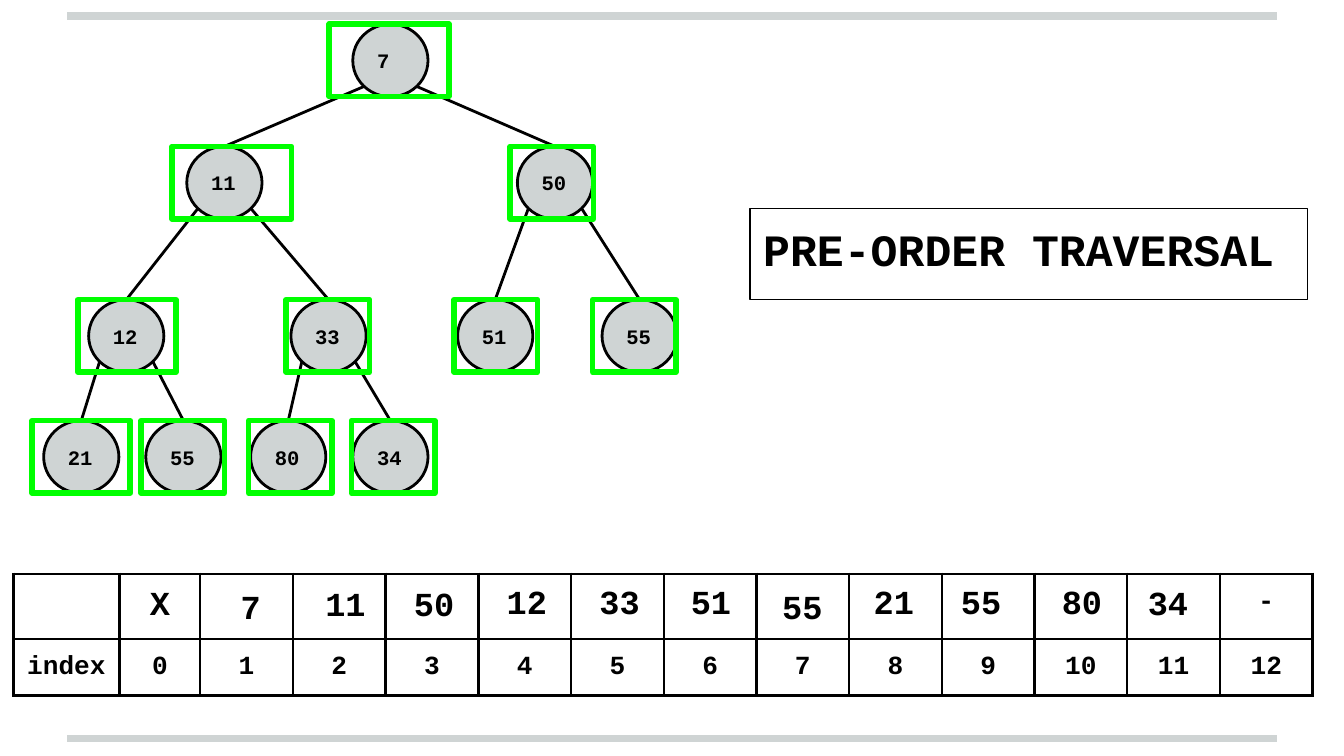
"""Draw a pre-order traversal slide: a binary tree above its array form."""
from dataclasses import dataclass
from typing import Optional

import pptx
import pptx.dml.color
import pptx.enum.shapes
import pptx.enum.text
import pptx.oxml
import pptx.oxml.ns
import pptx.util
from lxml import etree

EMU_PER_PX = 4572
NODE_W, NODE_H = 112, 108
INSET = 20
SHAPES = pptx.enum.shapes.MSO_SHAPE
ANCHORS = pptx.enum.text.MSO_ANCHOR
ALIGNS = pptx.enum.text.PP_ALIGN


@dataclass(frozen=True)
class Theme:
    font: str = "Courier New"
    ink: str = "000000"
    grey: str = "CFD4D4"
    mark: str = "00FF00"
    node_pt: int = 11
    index_pt: int = 14
    value_pt: int = 18
    title_pt: int = 24
    hairline_pt: float = 0.75
    line_pt: float = 1.5
    mark_pt: float = 3
    rule_pt: float = 4


@dataclass(frozen=True)
class Node:
    label: str
    x: int
    y: int
    mark_x: int
    mark_w: int
    value_x: int
    value_y: int
    parent: Optional[int] = None


THEME = Theme()
NODES = [
    Node("7", 525, 36, 490, 178, 330, 852),
    Node("11", 278, 218, 256, 178, 456, 848, 0),
    Node("50", 770, 218, 759, 124, 588, 848, 0),
    Node("12", 132, 446, 116, 146, 726, 844, 1),
    Node("33", 433, 446, 426, 124, 864, 844, 1),
    Node("51", 681, 446, 676, 124, 1000, 844, 2),
    Node("55", 896, 446, 882, 124, 1136, 852, 2),
    Node("21", 65, 626, 48, 146, 1272, 844, 3),
    Node("55", 217, 626, 210, 124, 1402, 844, 3),
    Node("80", 373, 626, 370, 124, 1552, 844, 4),
    Node("34", 525, 626, 523, 124, 1680, 846, 4),
]
COLUMNS = [158, 120] + [138] * 12
ROWS = [86, 84]


def px(n: int) -> pptx.util.Emu:
    return pptx.util.Emu(n * EMU_PER_PX)


def rgb(color: str) -> pptx.dml.color.RGBColor:
    return pptx.dml.color.RGBColor.from_string(color)


def set_text(tf, text: str, size: int, align=ALIGNS.LEFT) -> None:
    p = tf.paragraphs[0]
    p.text = text
    p.alignment = align
    p.font.name = THEME.font
    p.font.size = pptx.util.Pt(size)
    p.font.bold = True
    p.font.color.rgb = rgb(THEME.ink)


def set_frame(tf, anchor=ANCHORS.TOP) -> None:
    tf.word_wrap = True
    tf.vertical_anchor = anchor
    tf.margin_left = tf.margin_right = tf.margin_top = tf.margin_bottom = px(INSET)


def add_shape(s, kind, box: tuple, line: str, width: float, fill: Optional[str] = None):
    sp = s.shapes.add_shape(kind, *map(px, box))
    sp.shadow.inherit = False
    if fill:
        sp.fill.solid()
        sp.fill.fore_color.rgb = rgb(fill)
    else:
        sp.fill.background()
    sp.line.color.rgb = rgb(line)
    sp.line.width = pptx.util.Pt(width)
    etree.SubElement(sp.line._get_or_add_ln(), pptx.oxml.ns.qn("a:round"))
    return sp


def add_line(s, ends: tuple, color: str, width: float) -> None:
    line = s.shapes.add_connector(pptx.enum.shapes.MSO_CONNECTOR.STRAIGHT, *map(px, ends))
    line.line.color.rgb = rgb(color)
    line.line.width = pptx.util.Pt(width)
    etree.SubElement(line._element.spPr, pptx.oxml.ns.qn("a:effectLst"))


def add_node(s, node: Node) -> None:
    box = (node.x, node.y, NODE_W, NODE_H)
    sp = add_shape(s, SHAPES.OVAL, box, THEME.ink, THEME.line_pt, THEME.grey)
    set_frame(sp.text_frame, ANCHORS.MIDDLE)
    set_text(sp.text_frame, node.label, THEME.node_pt)


def add_edge(s, parent: Node, child: Node) -> None:
    start_x = parent.x + (16 if child.x < parent.x else NODE_W - 16)
    ends = (start_x, parent.y + NODE_H - 15, child.x + NODE_W // 2, child.y)
    add_line(s, ends, THEME.ink, THEME.line_pt)


def add_value(s, node: Node) -> None:
    width = 86 if len(node.label) == 1 else 116
    sp = s.shapes.add_textbox(*map(px, (node.value_x, node.value_y, width, 88)))
    set_frame(sp.text_frame)
    set_text(sp.text_frame, node.label, THEME.value_pt, ALIGNS.CENTER)


def set_cell(cell, text: str, size: int) -> None:
    set_text(cell.text_frame, text, size, ALIGNS.CENTER)
    cell.margin_left = cell.margin_right = cell.margin_top = cell.margin_bottom = px(INSET)
    tc_pr = cell._tc.get_or_add_tcPr()
    for side in ("lnL", "lnR", "lnT", "lnB"):
        ln = etree.SubElement(tc_pr, pptx.oxml.ns.qn(f"a:{side}"))
        ln.set("w", str(pptx.util.Pt(THEME.line_pt)))
        fill = etree.SubElement(ln, pptx.oxml.ns.qn("a:solidFill"))
        etree.SubElement(fill, pptx.oxml.ns.qn("a:srgbClr")).set("val", THEME.ink)
    cell.fill.background()


def add_array(s) -> None:
    box = (20, 854, sum(COLUMNS), sum(ROWS))
    table = s.shapes.add_table(len(ROWS), len(COLUMNS), *map(px, box)).table
    table.first_row = table.horz_banding = False
    for column, width in zip(table.columns, COLUMNS):
        column.width = px(width)
    for row, height in zip(table.rows, ROWS):
        row.height = px(height)
    values = ["", "X"] + [""] * len(NODES) + ["-"]
    indexes = ["index"] + [str(i) for i in range(len(COLUMNS) - 1)]
    for c, (value, index) in enumerate(zip(values, indexes)):
        set_cell(table.cell(0, c), value, THEME.index_pt if value == "-" else THEME.value_pt)
        set_cell(table.cell(1, c), index, THEME.index_pt)


def main() -> None:
    prs = pptx.Presentation()
    prs.slide_width, prs.slide_height = px(2000), px(1125)
    s = prs.slides.add_slide(prs.slide_layouts[6])
    for y in (1099, 24):
        add_line(s, (100, y, 1900, y), THEME.grey, THEME.rule_pt)
    for node in NODES:
        add_node(s, node)
    for node in NODES:
        if node.parent is not None:
            add_edge(s, NODES[node.parent], node)
    add_array(s)
    for node in NODES:
        add_value(s, node)
    for node in NODES:
        box = (node.mark_x, node.y, node.mark_w, NODE_H)
        add_shape(s, SHAPES.RECTANGLE, box, THEME.mark, THEME.mark_pt)
    title = add_shape(s, SHAPES.RECTANGLE, (1116, 310, 830, 136), THEME.ink, THEME.hairline_pt)
    set_frame(title.text_frame)
    set_text(title.text_frame, "PRE-ORDER TRAVERSAL", THEME.title_pt)
    prs.save("out.pptx")


if __name__ == "__main__":
    main()
